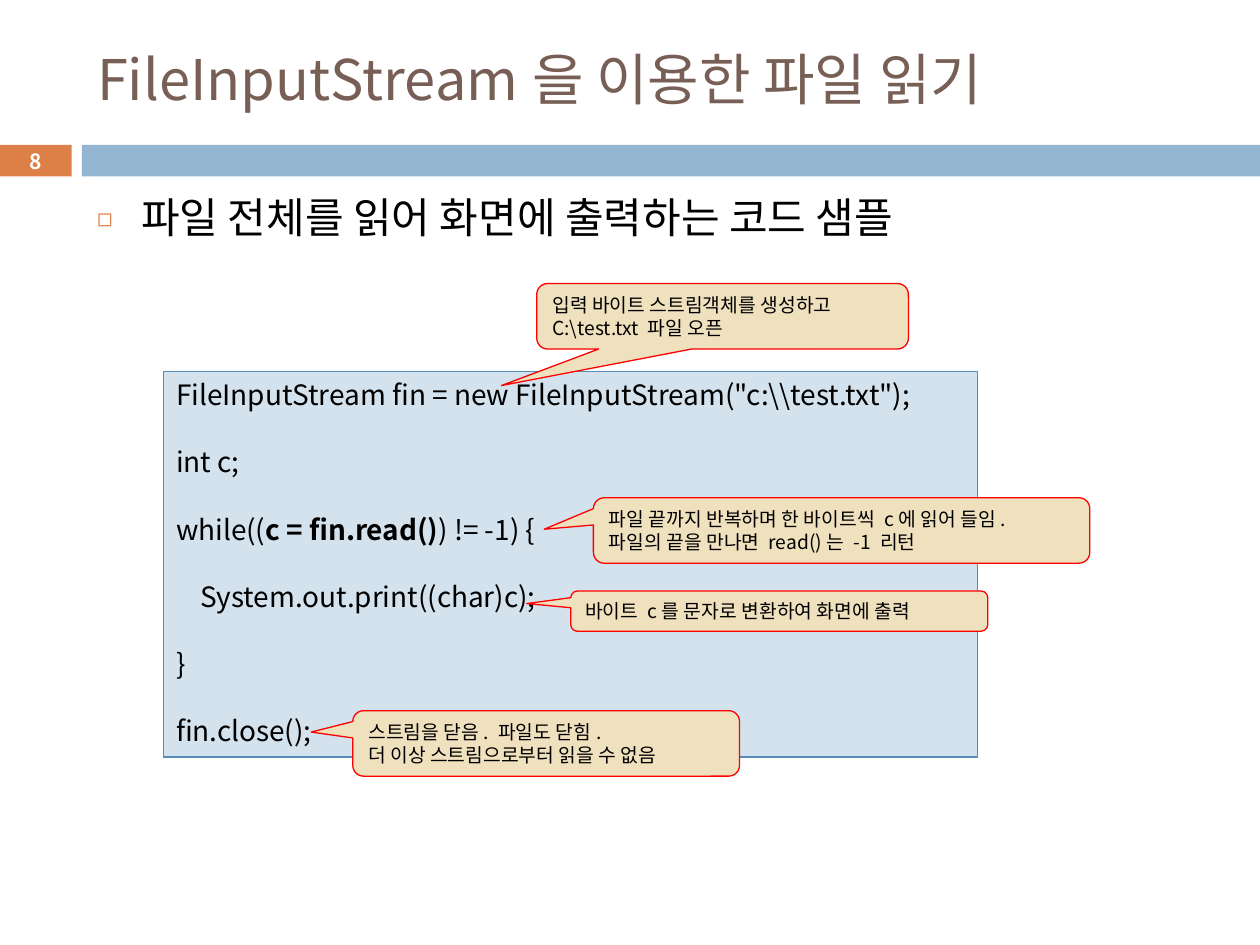
from pptx import Presentation
from pptx.dml.color import RGBColor
from pptx.enum.shapes import MSO_SHAPE
from pptx.enum.text import MSO_ANCHOR, MSO_AUTO_SIZE, PP_ALIGN
from pptx.oxml.ns import qn
from pptx.util import Inches, Pt
from lxml.etree import SubElement

ORANGE = RGBColor(0xDD, 0x80, 0x47)
BLUE = RGBColor(0x94, 0xB6, 0xD2)
PALE_BLUE = RGBColor(0xD4, 0xE2, 0xED)
STEEL = RGBColor(0x55, 0x8B, 0xB8)
BROWN = RGBColor(0x77, 0x5F, 0x55)
SAND = RGBColor(0xEF, 0xE0, 0xBE)
RED = RGBColor(0xFF, 0x00, 0x00)
BLACK = RGBColor(0x00, 0x00, 0x00)
WHITE = RGBColor(0xFF, 0xFF, 0xFF)

COLUMNS, ROWS = 100, 75
LINE_HEIGHT = 1.2  # in font sizes

# Each line is a list of (text, bold) spans after its indent in columns.
CODE = [
    (0, [('FileInputStream fin = new FileInputStream("c:\\\\test.txt");', False)]),
    (0, [("int c;", False)]),
    (0, [("while((", False), ("c = fin.read()", True), (") != -1) {", False)]),
    (1.9, [("System.out.print((char)c);", False)]),
    (0, [("}", False)]),
    (0, [("fin.close();", False)]),
]

# Area, tip of the pointer, lines of text.
CALLOUTS = [
    ((42.6, 22.5, 29.5, 5.2), (39.8, 30.6),
     ["입력 바이트 스트림객체를 생성하고", "C:\\test.txt 파일 오픈"]),
    ((47.1, 39.5, 39.4, 5.2), (43.2, 42),
     ["파일 끝까지 반복하며 한 바이트씩 c에 읽어 들임.",
      "파일의 끝을 만나면 read()는 -1 리턴"]),
    ((45.3, 46.9, 33.1, 3.2), (41.8, 47.9),
     ["바이트 c를 문자로 변환하여 화면에 출력"]),
    ((28, 56.4, 30.7, 5.2), (24.7, 58.1),
     ["스트림을 닫음. 파일도 닫힘.", "더 이상 스트림으로부터 읽을 수 없음"]),
]


class SlideBuilder:
    """Draws on one slide; areas are (column, row, columns, rows)."""

    font = "Noto Sans CJK KR"

    def __init__(self, deck):
        self.column = deck.slide_width / COLUMNS
        self.row = deck.slide_height / ROWS
        self.page = deck.slides.add_slide(deck.slide_layouts[1])

    def place(self, area):
        left, top, width, height = area
        return [round(length) for length in (
            left * self.column, top * self.row,
            width * self.column, height * self.row)]

    def style(self, para, size, color, align=PP_ALIGN.LEFT, bold=False):
        para.alignment = align
        para.line_spacing = Pt(round(size * LINE_HEIGHT, 1))
        font = para.font
        font.size, font.bold, font.name = Pt(size), bold, self.font
        font.color.rgb = color
        SubElement(font._element, qn("a:ea"), typeface=self.font)

    def fill_text(self, frame, lines, size, color, anchor=MSO_ANCHOR.TOP, **options):
        frame.word_wrap = True
        frame.auto_size = MSO_AUTO_SIZE.NONE
        frame.vertical_anchor = anchor
        frame.text = "\n".join(lines)
        for para in frame.paragraphs:
            self.style(para, size, color, **options)

    def placeholder(self, index, area, text, size, color, anchor):
        holder = self.page.placeholders[index]
        holder.left, holder.top, holder.width, holder.height = self.place(area)
        self.fill_text(holder.text_frame, [text], size, color, anchor)
        return holder.text_frame.paragraphs[0]

    def title(self, area, text):
        self.placeholder(0, area, text, 32, BROWN, MSO_ANCHOR.MIDDLE)

    def bullet(self, area, text):
        para = self.placeholder(1, area, text, 24, BLACK, MSO_ANCHOR.TOP)
        para.space_before = Pt(0)
        properties = para._p.get_or_add_pPr()
        properties.set("marL", str(Inches(0.35)))
        properties.set("indent", str(-Inches(0.35)))
        color = SubElement(properties, qn("a:buClr"))
        SubElement(color, qn("a:srgbClr"), val=str(ORANGE))
        SubElement(properties, qn("a:buSzPct"), val="60000")
        SubElement(properties, qn("a:buFont"), typeface=self.font)
        SubElement(properties, qn("a:buChar"), char="◻")
        properties.append(properties.find(qn("a:defRPr")))  # schema order

    def shape(self, kind, area, fill, line=None):
        shape = self.page.shapes.add_shape(kind, *self.place(area))
        shape.shadow.inherit = False
        shape.fill.solid()
        shape.fill.fore_color.rgb = fill
        if line is None:
            shape.line.fill.background()
        else:
            shape.line.color.rgb = line
            shape.line.width = Pt(0.75)
        return shape

    def number(self, area, text):
        box = self.shape(MSO_SHAPE.RECTANGLE, area, ORANGE)
        self.fill_text(box.text_frame, [text], 12, WHITE, MSO_ANCHOR.MIDDLE,
                       align=PP_ALIGN.CENTER, bold=True)

    def code(self, area, lines, size=16):
        frame = self.shape(MSO_SHAPE.RECTANGLE, area, PALE_BLUE, STEEL).text_frame
        self.fill_text(frame, [""] * len(lines), size, BLACK)
        for para, (indent, spans) in zip(frame.paragraphs, lines):
            para.space_after = Pt(round(size * LINE_HEIGHT, 1))
            para._p.get_or_add_pPr().set("marL", str(round(indent * self.column)))
            for text, bold in spans:
                span = para.add_run()
                span.text = text
                if bold:
                    span.font.bold = True

    def callout(self, area, tip, lines):
        box = self.shape(MSO_SHAPE.ROUNDED_RECTANGULAR_CALLOUT, area, SAND, RED)
        left, top, width, height = area
        box.adjustments[0] = (tip[0] - left) / width - 0.5
        box.adjustments[1] = (tip[1] - top) / height - 0.5
        self.fill_text(box.text_frame, lines, 11, BLACK)


def main():
    deck = Presentation()
    deck.slide_width, deck.slide_height = Inches(10), Inches(7.5)
    builder = SlideBuilder(deck)
    builder.number((0, 11.5, 5.7, 2.5), "8")
    builder.shape(MSO_SHAPE.RECTANGLE, (6.5, 11.5, 93.5, 2.5), BLUE)
    builder.title((6.7, 2.5, 89.2, 7.4), "FileInputStream을 이용한 파일 읽기")
    builder.bullet((6.7, 14.7, 89.2, 55.1), "파일 전체를 읽어 화면에 출력하는 코드 샘플")
    builder.code((13, 29.5, 64.6, 30.6), CODE)
    for callout in CALLOUTS:
        builder.callout(*callout)
    deck.save("out.pptx")


if __name__ == "__main__":
    main()
